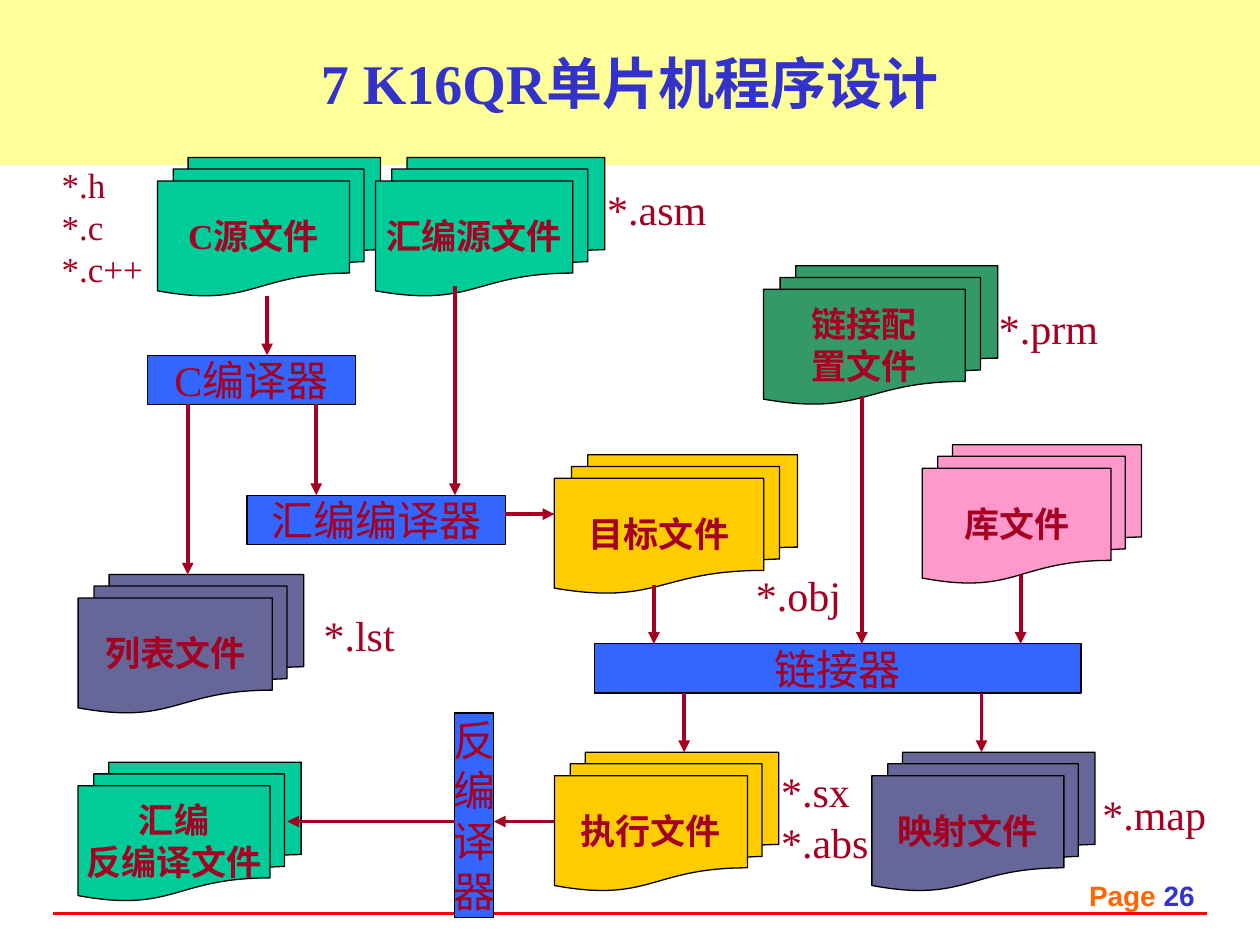
from dataclasses import dataclass

from lxml.etree import SubElement
from pptx import Presentation
from pptx.dml.color import RGBColor
from pptx.enum.shapes import MSO_CONNECTOR as Conn, MSO_SHAPE as Geo
from pptx.enum.text import MSO_ANCHOR as Anchor, PP_ALIGN as Align
from pptx.oxml.ns import qn
from pptx.util import Emu, Pt

SCALE = 9144  # EMU per px, 100 px to the inch


@dataclass(frozen=True)
class Theme:
    serif: str = "Times New Roman"
    sans: str = "Arial"
    ink: str = "A50021"
    blue: str = "3333CC"
    orange: str = "FF6600"
    rule: str = "FF0000"
    edge: str = "000000"
    band: str = "FFFF99"
    tool: str = "3366FF"
    mint: str = "00CC99"
    green: str = "339966"
    pink: str = "FF99CC"
    gold: str = "FFCC00"
    slate: str = "666699"
    title: int = 32
    large: int = 24
    small: int = 20
    page: int = 16
    thick: float = 2.25
    thin: float = 0.75


T = Theme()


def px(*vals):
    return [Emu(v * SCALE) for v in vals]


def rgb(code):
    return RGBColor.from_string(code)


def style(run, size, color=T.ink, bold=False, face=T.serif):
    font = run.font
    font.name, font.size, font.bold = face, Pt(size), bold
    font.color.rgb = rgb(color)


def write(shape, text, size, color=T.ink, bold=False, align=Align.CENTER, wrap=False):
    frame = shape.text_frame
    frame.word_wrap = wrap
    frame.text = text
    for para in frame.paragraphs:
        para.alignment = align
        for run in para.runs:
            style(run, size, color, bold)


def block(slide, geo, box, fill, edge=None):
    shape = slide.shapes.add_shape(geo, *px(*box))
    shape.shadow.inherit = False
    shape.fill.solid()
    shape.fill.fore_color.rgb = rgb(fill)
    if edge:
        shape.line.color.rgb = rgb(edge)
        shape.line.width = Pt(T.thin)
    else:
        shape.line.fill.background()
    shape.text_frame.vertical_anchor = Anchor.MIDDLE
    return shape


def stroke(slide, ends, color, arrow=False):
    line = slide.shapes.add_connector(Conn.STRAIGHT, *px(*ends))
    line.line.color.rgb = rgb(color)
    line.line.width = Pt(T.thick)
    if arrow:
        SubElement(line.line._get_or_add_ln(), qn("a:tailEnd"), type="triangle")
    SubElement(line._element.spPr, qn("a:effectLst"))


def header(slide, box):
    shape = block(slide, Geo.RECTANGLE, box, T.band)
    write(shape, "7 K16QR单片机程序设计", T.title, T.blue, True, wrap=True)


def footer(slide, box):
    x, y, w, h = box
    # Red rule
    stroke(slide, (x, y + 33, x + w, y + 33), T.rule)
    # Page number
    area = slide.shapes.add_textbox(*px(x + w - 266, y, 266, h))
    area.text_frame.word_wrap = True
    para = area.text_frame.paragraphs[0]
    para.alignment = Align.RIGHT
    for text, color in (("Page ", T.orange), ("26", T.blue)):
        run = para.add_run()
        run.text = text
        style(run, T.page, color, True, T.sans)


# Places below are relative to the flow box
FILES = [  # left, top, width, fill, text
    (125, 0, 177, T.mint, "C源文件"),
    (298, 0, 182, T.mint, "汇编源文件"),
    (606, 86, 186, T.green, "链接配\n置文件"),
    (732, 228, 174, T.pink, "库文件"),
    (440, 236, 193, T.gold, "目标文件"),
    (62, 331, 179, T.slate, "列表文件"),
    (440, 472, 178, T.gold, "执行文件"),
    (692, 472, 177, T.slate, "映射文件"),
    (62, 480, 177, T.mint, "汇编\n反编译文件"),
]
TOOLS = [  # left, top, width, height, text
    (117, 157, 165, 39, "C编译器"),
    (196, 268, 205, 39, "汇编编译器"),
    (472, 386, 386, 39, "链接器"),
    (361, 441, 31, 162, "反\n编\n译\n器"),
]
DOWN = [  # x, from y, to y
    (212, 110, 157), (361, 102, 268), (251, 196, 268), (149, 196, 331),
    (519, 339, 386), (684, 189, 386), (810, 331, 386),
    (543, 425, 472), (779, 425, 472),
]
ACROSS = [  # y, from x, to x
    (283, 401, 440), (527, 440, 392), (527, 361, 228),
]
LABELS = [  # left, top, width, height, size, text
    (39, 0, 100, 110, T.small, "*.h\n*.c\n*.c++"),
    (472, 16, 118, 50, T.large, "*.asm"),
    (783, 110, 118, 50, T.large, "*.prm"),
    (590, 322, 90, 50, T.large, "*.obj"),
    (247, 354, 90, 50, T.large, "*.lst"),
    (865, 496, 114, 50, T.large, "*.map"),
    (610, 478, 118, 90, T.large, "*.sx\n*.abs"),
]


def flow(slide, box):
    left, top = box[:2]
    # File stacks
    for x, y, w, fill, text in FILES:
        area = (left + x, top + y, w, 110)
        shape = block(slide, Geo.FLOWCHART_MULTIDOCUMENT, area, fill, T.edge)
        write(shape, text, T.small, bold=True)
    # Tools
    for x, y, w, h, text in TOOLS:
        area = (left + x, top + y, w, h)
        shape = block(slide, Geo.RECTANGLE, area, T.tool, T.edge)
        write(shape, text, T.large)
    # Arrows
    ends = [(x, a, x, b) for x, a, b in DOWN]
    ends += [(a, y, b, y) for y, a, b in ACROSS]
    for x1, y1, x2, y2 in ends:
        stroke(slide, (left + x1, top + y1, left + x2, top + y2), T.ink, True)
    # File extensions
    for x, y, w, h, size, text in LABELS:
        area = slide.shapes.add_textbox(*px(left + x, top + y, w, h))
        write(area, text, size, align=Align.LEFT, wrap=True)


def main():
    deck = Presentation()
    deck.slide_width, deck.slide_height = px(1000, 750)
    slide = deck.slides.add_slide(deck.slide_layouts[6])
    header(slide, (0, 0, 1000, 131))
    footer(slide, (42, 692, 916, 42))
    flow(slide, (0, 125, 1000, 603))
    deck.save("out.pptx")


if __name__ == "__main__":
    main()
